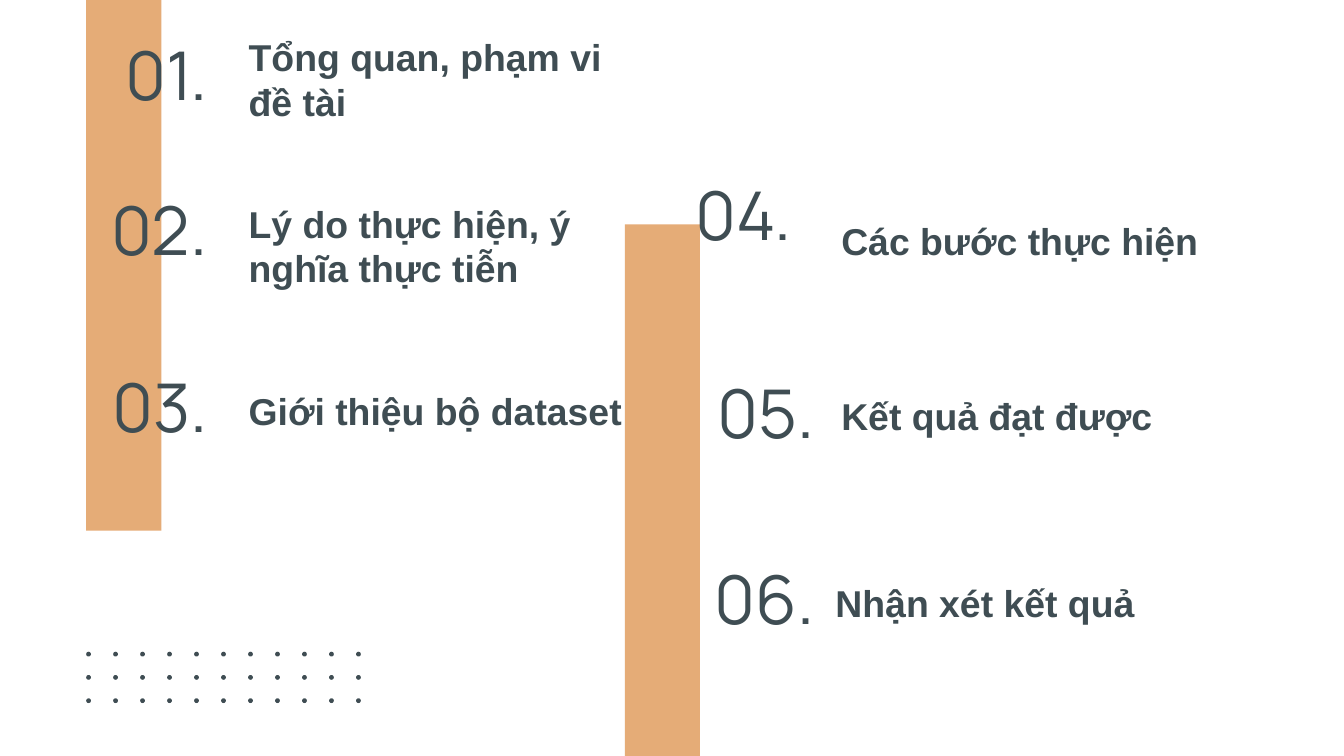
"""Build the six-item agenda slide with two bars and a dot grid."""
from itertools import product

from pptx import Presentation
from pptx.dml.color import RGBColor
from pptx.enum import shapes, text
from pptx.util import Cm, Pt

INK = RGBColor(0x3F, 0x4D, 0x53)
SAND = RGBColor(0xE5, 0xAC, 0x77)

NUMBER = {"name": "Manrope", "size": Pt(36), "bold": False}
HEADING = {"name": "Arial", "size": Pt(20), "bold": True}
NUMBER_HEIGHT, HEADING_HEIGHT = 1.5, 2.41

BARS = [(1.63, 0, 1.42, 10.03), (11.81, 4.24, 1.42, 10.31)]

# number left, top, width; heading left, top, width; heading wording
AGENDA = [
    ((0.51, 0.64, 3.66), (4.45, 0.18, 7.8), "Tổng quan, phạm vi đề tài"),
    ((0.51, 3.58, 3.66), (4.45, 3.33, 7.8), "Lý do thực hiện, ý nghĩa thực tiễn"),
    ((0.51, 6.91, 3.66), (4.45, 6.02, 9.2), "Giới thiệu bộ dataset"),
    ((11.81, 3.28, 3.4), (15.65, 2.82, 8.36), "Các bước thực hiện"),
    ((12.24, 7.04, 3.4), (15.65, 6.12, 8.36), "Kết quả đạt được"),
    ((12.24, 10.54, 3.4), (15.54, 9.65, 8.36), "Nhận xét kết quả"),
]

DOT_ROWS, DOT_COLUMNS = 3, 11
DOT_LEFT, DOT_TOP, DOT_SIZE = 1.63, 12.32, 0.09
DOT_STEP_X, DOT_STEP_Y = 0.51, 0.44


def add_solid(parent, preset, box, color):
    """Add a flat, borderless preset shape."""
    solid = parent.add_shape(preset, *map(Cm, box))
    solid.shadow.inherit = False
    solid.fill.solid()
    solid.fill.fore_color.rgb = color
    solid.line.fill.background()


def write(holder, box, wording, style, align, anchor):
    """Place a text holder and format its single paragraph."""
    for side, length in zip(("left", "top", "width", "height"), box):
        setattr(holder, side, Cm(length))
    frame = holder.text_frame
    frame.text = wording
    layout = {"word_wrap": True, "auto_size": text.MSO_AUTO_SIZE.NONE,
              "vertical_anchor": anchor}
    layout.update({f"margin_{side}": Cm(0.25)
                   for side in ("left", "top", "right", "bottom")})
    for key, value in layout.items():
        setattr(frame, key, value)
    line = frame.paragraphs[0]
    line.alignment = align
    font = line.runs[0].font
    for key, value in style.items():
        setattr(font, key, value)
    font.color.rgb = INK


def add_agenda(slide):
    """Add the numbers and headings, the first heading being the title."""
    for order, (number, heading, wording) in enumerate(AGENDA, 1):
        label = slide.shapes.add_textbox(0, 0, 0, 0)
        write(label, (*number, NUMBER_HEIGHT), f"{order:02d}.", NUMBER,
              text.PP_ALIGN.RIGHT, text.MSO_ANCHOR.MIDDLE)
        topic = (slide.shapes.title if order == 1
                 else slide.shapes.add_textbox(0, 0, 0, 0))
        write(topic, (*heading, HEADING_HEIGHT), wording, HEADING,
              text.PP_ALIGN.LEFT, text.MSO_ANCHOR.BOTTOM)


def add_dots(slide):
    """Add the grouped grid of dots."""
    grid = slide.shapes.add_group_shape()
    for row, column in product(range(DOT_ROWS), range(DOT_COLUMNS)):
        box = (DOT_LEFT + column * DOT_STEP_X, DOT_TOP + row * DOT_STEP_Y,
               DOT_SIZE, DOT_SIZE)
        add_solid(grid.shapes, shapes.MSO_SHAPE.OVAL, box, INK)


def main():
    """Create and save the presentation."""
    deck = Presentation()
    deck.slide_width, deck.slide_height = Cm(25.4), Cm(14.29)
    slide = deck.slides.add_slide(deck.slide_layouts[5])
    for bar in BARS:
        add_solid(slide.shapes, shapes.MSO_SHAPE.RECTANGLE, bar, SAND)
    add_agenda(slide)
    add_dots(slide)
    deck.save("out.pptx")


if __name__ == "__main__":
    main()
